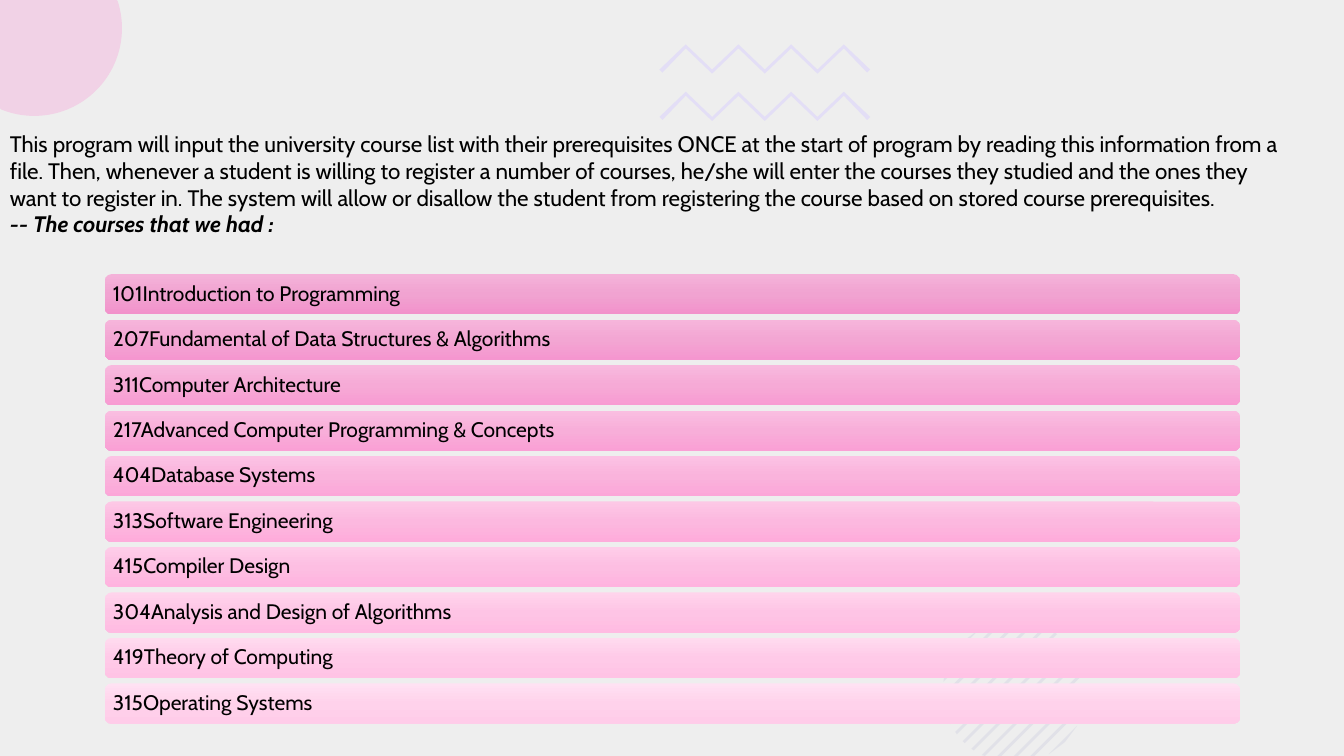
from copy import deepcopy
from math import cos, radians, sin, sqrt

from lxml import etree
from pptx import Presentation
from pptx.dml.color import RGBColor
from pptx.enum.shapes import MSO_SHAPE
from pptx.enum.text import MSO_ANCHOR, PP_ALIGN
from pptx.oxml.ns import qn
from pptx.util import Inches, Pt

ROUNDED = MSO_SHAPE.ROUNDED_RECTANGLE
TOP, MIDDLE = MSO_ANCHOR.TOP, MSO_ANCHOR.MIDDLE
LEFT = PP_ALIGN.LEFT

FONT = "Cabin"
SLIDE_W, SLIDE_H = 13.33, 7.5
BACKGROUND = RGBColor(0xEE, 0xEE, 0xEE)
BLACK = RGBColor(0, 0, 0)
LAVENDER = RGBColor(0xE3, 0xDE, 0xF6)
SLATE = RGBColor(0xAD, 0xB1, 0xD0)
PINK = RGBColor(0xFF, 0x62, 0xC7)

INTRO = (
    "This program will input the university course list with their prerequisites ONCE "
    "at the start of program by reading this information from a file. Then, whenever a "
    "student is willing to register a number of courses, he/she will enter the courses "
    "they studied and the ones they want to register in. The system will allow or "
    "disallow the student from registering the course based on stored course prerequisites."
)
COURSE_HEADING = "-- The courses that we had :"

# Course, then the top, middle and bottom colours of its bar
COURSES = [
    ("101Introduction to Programming", "F4B2D9", "F1A3D1", "F292CB"),
    ("207Fundamental of Data Structures & Algorithms", "F6B5DB", "F3A6D3", "F596CF"),
    ("311Computer Architecture", "F8B9DE", "F6AAD6", "F89BD2"),
    ("217Advanced Computer Programming & Concepts", "FABEE1", "F8AED9", "FAA0D5"),
    ("404Database Systems", "FCC2E4", "FAB3DC", "FCA6D8"),
    ("313Software Engineering", "FDC8E6", "FCB8DF", "FEACDB"),
    ("415Compiler Design", "FECDE9", "FDBEE2", "FFB3DF"),
    ("304Analysis and Design of Algorithms", "FFD4EC", "FEC4E5", "FFBBE2"),
    ("419Theory of Computing", "FFDBEF", "FFCAE8", "FFC3E5"),
    ("315Operating Systems", "FFE2F3", "FFD2EB", "FFCCE9"),
]


def write(paragraph, text, size=16, bold=False, italic=False, line_spacing=None):
    paragraph.alignment = LEFT
    paragraph.line_spacing = line_spacing
    run = paragraph.add_run()
    run.text = text
    run.font.name = FONT
    run.font.size = Pt(size)
    run.font.bold = bold
    run.font.italic = italic
    run.font.color.rgb = BLACK


def add_polygon(slide, points, color, opacity=100):
    """Draw a closed outline through points given in inches."""
    corners = [(Inches(x), Inches(y)) for x, y in points]
    builder = slide.shapes.build_freeform(*corners[0], scale=1.0)
    builder.add_line_segments(corners[1:], close=True)
    polygon = builder.convert_to_shape()
    polygon.shadow.inherit = False
    polygon.line.fill.background()
    polygon.fill.solid()
    polygon.fill.fore_color.rgb = color
    if opacity < 100:
        color_node = polygon.fill._xPr.find(qn("a:solidFill"))[0]
        etree.SubElement(color_node, qn("a:alpha"), val=str(opacity * 1000))


def add_zigzag(slide, left, top, width, height):
    """Draw a band with four peaks, its lower edge below the upper one."""
    thickness = 0.04
    step = width / 8
    rise = height - thickness
    upper = [(left + i * step, top + (0 if i % 2 else rise - 0.01)) for i in range(9)]
    lower = [(x, y + thickness) for x, y in upper[1:-1]]
    left_end = (left + 0.03, top + rise + 0.02)
    right_end = (left + width - 0.03, top + rise + 0.02)
    add_polygon(slide, upper + [right_end] + lower[::-1] + [left_end], LAVENDER)


def add_striped_disc(slide, center_x, center_y, radius):
    """Hatch a disc with rising diagonals, cut at the foot of the slide."""
    count, thickness = 13, 0.04
    middle, reach = center_x + center_y, radius * sqrt(2)
    pitch = (2 * reach - thickness) / (count - 1)

    def chord(diagonal):
        """Return both ends of the chord on which x + y equals diagonal."""
        offset = (diagonal - middle) / 2
        half = sqrt(max(0, radius ** 2 / 2 - offset ** 2))
        bottom = min(center_y + offset + half, SLIDE_H)
        upper_end = (center_x + offset + half, center_y + offset - half)
        return upper_end, (diagonal - bottom, bottom)

    for i in range(count):
        start = middle - reach + i * pitch
        first, second = chord(start), chord(start + thickness)
        add_polygon(slide, [*first, *second[::-1]], SLATE, opacity=20)


def add_corner_disc(slide, center_x, center_y, radius):
    """Draw the part of a disc that lies inside the top left corner."""
    arc = [(center_x + radius * cos(radians(a)), center_y + radius * sin(radians(a)))
           for a in range(-20, 116, 2)]
    edge = [(max(0, x), max(0, y)) for x, y in arc]
    add_polygon(slide, [(0, 0)] + edge, PINK, opacity=20)


def add_intro(slide, left, top, width, height):
    box = slide.shapes.add_textbox(Inches(left), Inches(top), Inches(width), Inches(height))
    frame = box.text_frame
    frame.word_wrap = True
    frame.vertical_anchor = TOP
    write(frame.paragraphs[0], INTRO)
    write(frame.add_paragraph(), COURSE_HEADING, bold=True, italic=True)


def fill_gradient(bar, colors):
    """Fill from top to bottom with three evenly spaced colours."""
    bar.fill.gradient()
    bar.fill.gradient_angle = 270
    stop_list = bar.fill._xPr.find(qn("a:gradFill")).find(qn("a:gsLst"))
    stop_list.insert(1, deepcopy(stop_list[0]))
    for i, (stop, color) in enumerate(zip(bar.fill.gradient_stops, colors)):
        stop.position = i / 2
        stop.color.rgb = RGBColor.from_string(color)


def add_course_bars(slide, left, top, width, height):
    bar_height = 0.4
    pitch = (height - bar_height) / (len(COURSES) - 1)
    for i, (course, *colors) in enumerate(COURSES):
        bar = slide.shapes.add_shape(ROUNDED, Inches(left), Inches(top + i * pitch),
                                     Inches(width), Inches(bar_height))
        bar.shadow.inherit = False
        bar.line.fill.background()
        fill_gradient(bar, colors)
        frame = bar.text_frame
        frame.word_wrap = True
        frame.vertical_anchor = MIDDLE
        frame.margin_left = frame.margin_right = Inches(0.06)
        frame.margin_top = frame.margin_bottom = Inches(0.06)
        write(frame.paragraphs[0], course, size=15, line_spacing=0.9)


def main():
    deck = Presentation()
    deck.slide_width, deck.slide_height = Inches(SLIDE_W), Inches(SLIDE_H)
    slide = deck.slides.add_slide(deck.slide_layouts[6])
    slide.background.fill.solid()
    slide.background.fill.fore_color.rgb = BACKGROUND

    for top in (0.44, 0.91):
        add_zigzag(slide, 6.54, top, 2.09, 0.3)
    add_striped_disc(slide, 10.06, 6.86, 0.71)
    add_corner_disc(slide, 0.34, 0.28, 0.87)
    add_course_bars(slide, 1.04, 2.72, 11.26, 4.46)
    add_intro(slide, 0, 1.24, 12.91, 1.75)
    deck.save("out.pptx")


if __name__ == "__main__":
    main()
